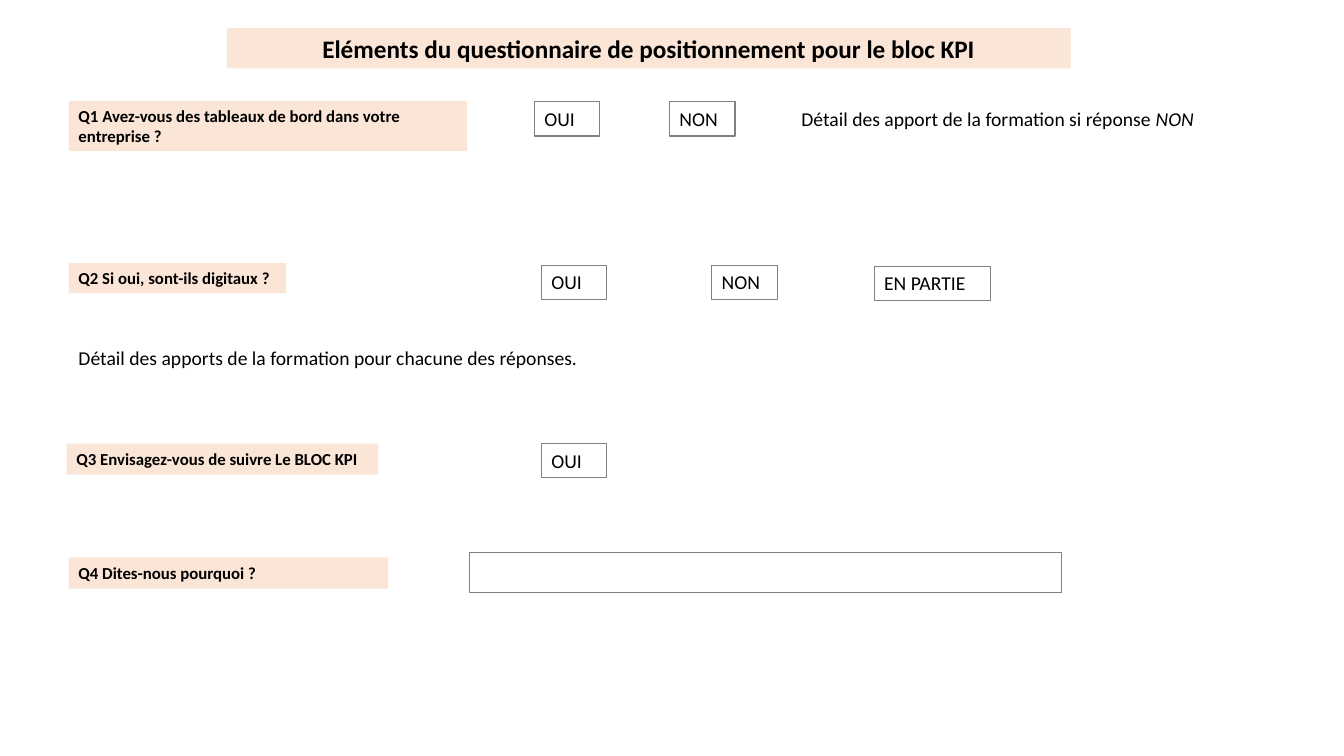
from pptx import Presentation
from pptx.dml.color import RGBColor
from pptx.enum.shapes import MSO_SHAPE
from pptx.enum.text import MSO_ANCHOR, MSO_AUTO_SIZE, PP_ALIGN
from pptx.util import Inches, Pt

PEACH = RGBColor(0xFB, 0xE5, 0xD6)
GRAY = RGBColor(0x80, 0x80, 0x80)
BLACK = RGBColor(0, 0, 0)

presentation = Presentation()
presentation.slide_width = Inches(13.33)
presentation.slide_height = Inches(7.5)
slide = presentation.slides.add_slide(presentation.slide_layouts[6])


def add_box(left, top, width, height, fill=None, line=None):
    """Add a rectangle with an optional fill and outline."""
    shape = slide.shapes.add_shape(
        MSO_SHAPE.RECTANGLE, Inches(left), Inches(top), Inches(width), Inches(height))
    shape.shadow.inherit = False
    if fill is None:
        shape.fill.background()
    else:
        shape.fill.solid()
        shape.fill.fore_color.rgb = fill
    if line is None:
        shape.line.fill.background()
    else:
        shape.line.color.rgb = line
        shape.line.width = Pt(0.75)
    return shape


def write_text(shape, text, size, bold=False, alignment=PP_ALIGN.LEFT):
    text_frame = shape.text_frame
    text_frame.word_wrap = True
    text_frame.auto_size = MSO_AUTO_SIZE.SHAPE_TO_FIT_TEXT
    text_frame.vertical_anchor = MSO_ANCHOR.TOP
    paragraph = text_frame.paragraphs[0]
    paragraph.text = text
    paragraph.alignment = alignment
    paragraph.font.name = "Calibri"
    paragraph.font.size = Pt(size)
    paragraph.font.bold = bold
    paragraph.font.color.rgb = BLACK
    return paragraph


# Title
title = add_box(2.25, 0.28, 8.37, 0.4, fill=PEACH)
write_text(title, "Eléments du questionnaire de positionnement pour le bloc KPI",
           18, bold=True, alignment=PP_ALIGN.CENTER)

# Questions
questions = [
    ("Q1 Avez-vous des tableaux de bord dans votre entreprise ?", 0.68, 1, 3.95, 0.5),
    ("Q2 Si oui, sont-ils digitaux ?", 0.68, 2.61, 2.16, 0.3),
    ("Q3 Envisagez-vous de suivre Le BLOC KPI", 0.66, 4.4, 3.09, 0.31),
    ("Q4 Dites-nous pourquoi ?", 0.68, 5.53, 3.17, 0.31),
]
for text, left, top, width, height in questions:
    write_text(add_box(left, top, width, height, fill=PEACH), text, 12, bold=True)

# Answers
answers = [
    ("OUI", 5.3, 1.01, 0.65),
    ("NON", 6.64, 1.01, 0.65),
    ("OUI", 5.37, 2.63, 0.65),
    ("NON", 7.06, 2.63, 0.65),
    ("EN PARTIE", 8.67, 2.64, 1.15),
    ("OUI", 5.37, 4.4, 0.65),
]
for text, left, top, width in answers:
    write_text(add_box(left, top, width, 0.34, line=GRAY), text, 14)
add_box(4.66, 5.48, 5.87, 0.4, line=GRAY)

# Training details
details = [
    ("Détail des apport de la formation si réponse ", "NON", 7.85, 1.01, 4.8),
    ("Détail des apports de la formation pour chacune des réponses.", "", 0.68, 3.38, 5.68),
]
for text, emphasis, left, top, width in details:
    text_box = slide.shapes.add_textbox(
        Inches(left), Inches(top), Inches(width), Inches(0.34))
    paragraph = write_text(text_box, text, 14)
    if emphasis:
        run = paragraph.add_run()
        run.text = emphasis
        run.font.italic = True

presentation.save("out.pptx")
